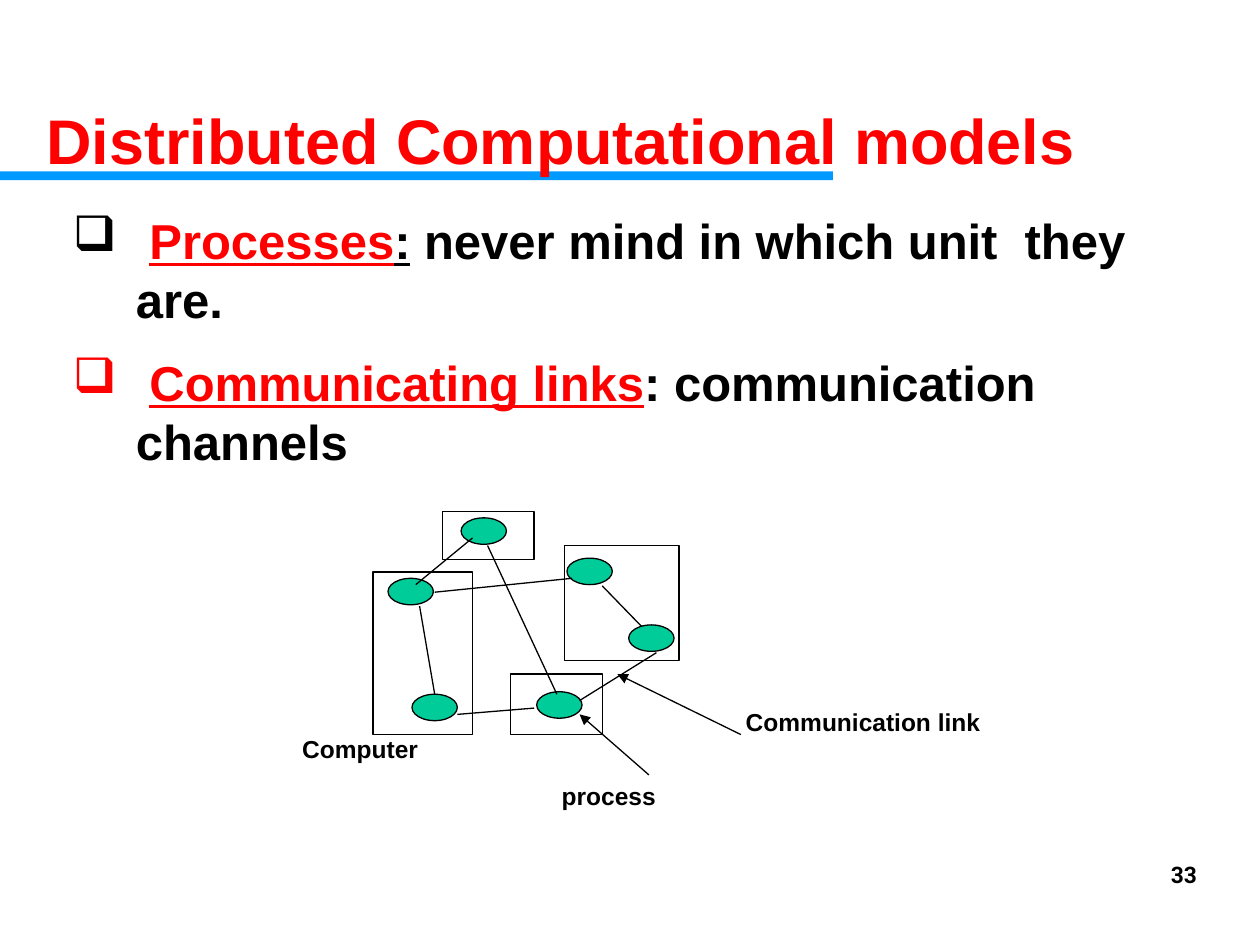
from lxml.etree import SubElement
from pptx import Presentation
from pptx.dml.color import RGBColor
from pptx.enum.shapes import MSO_CONNECTOR as Connector, MSO_SHAPE as Shape
from pptx.enum.text import MSO_AUTO_SIZE as AutoSize, PP_ALIGN as Align
from pptx.oxml.ns import qn
from pptx.util import Inches, Pt

BLACK, RED, BLUE, GREEN = "000000", "FF0000", "0099FF", "00CC99"
PROCESS_SIZE = (0.36, 0.21)

PROCESSES = [(3.66, 4.11), (3.08, 4.59), (3.27, 5.51),
             (4.5, 4.43), (4.99, 4.96), (4.26, 5.49)]
COMPUTERS = [(2.96, 4.54, 0.79, 1.29), (3.51, 4.06, 0.73, 0.38),
             (4.48, 4.33, 0.91, 0.91), (4.05, 5.35, 0.73, 0.48)]
LINKS = [((3.75, 4.27), (3.3, 4.64)), ((3.33, 4.81), (3.45, 5.51)),
         ((3.63, 5.67), (4.24, 5.62)), ((4.6, 5.56), (5.21, 5.18)),
         ((5.09, 4.97), (4.78, 4.65)), ((4.54, 4.59), (3.45, 4.7)),
         ((3.87, 4.33), (4.42, 5.51))]
POINTERS = [((5.15, 6.15), (4.6, 5.67)), ((5.88, 5.83), (4.9, 5.35))]
LABELS = [("Computer", (2.3, 5.78, 1.7, 0.33)),
          ("process", (4.36, 6.15, 1.4, 0.34)),
          ("Communication link", (5.82, 5.56, 3.16, 0.34))]
# Each point: bullet colour, then runs of (text, colour, underlined)
POINTS = [
    (BLACK, [(" ", BLACK, False), ("Processes", RED, True), (":", BLACK, True),
             (" never mind in which unit  they are.", BLACK, False)]),
    (RED, [(" ", RED, False), ("Communicating links", RED, True),
           (": communication channels", BLACK, False)]),
]


def rgb(color):
    return RGBColor.from_string(color)


def inches(values):
    return [Inches(value) for value in values]


def add_box(shapes, kind, box, fill=None, outlined=True):
    shape = shapes.add_shape(kind, *inches(box))
    shape.shadow.inherit = False
    if fill:
        shape.fill.solid()
        shape.fill.fore_color.rgb = rgb(fill)
    else:
        shape.fill.background()
    if outlined:
        shape.line.color.rgb = rgb(BLACK)
        shape.line.width = Pt(0.75)
    else:
        shape.line.fill.background()


def add_line(shapes, start, end, arrow=False):
    line = shapes.add_connector(Connector.STRAIGHT, *inches(start + end))
    line.line.color.rgb = rgb(BLACK)
    line.line.width = Pt(0.75)
    if arrow:
        SubElement(line.line._get_or_add_ln(), qn("a:tailEnd"), type="triangle")
    SubElement(line._element.spPr, qn("a:effectLst"))


def add_text_frame(shapes, box, auto_size=AutoSize.SHAPE_TO_FIT_TEXT):
    frame = shapes.add_textbox(*inches(box)).text_frame
    frame.word_wrap = True
    frame.auto_size = auto_size
    return frame


def add_run(paragraph, text, size, color, font="Arial", underline=False):
    run = paragraph.add_run()
    run.text = text
    run.font.name = font
    run.font.size = Pt(size)
    run.font.bold = True
    run.font.underline = underline
    run.font.color.rgb = rgb(color)


def set_bullet(paragraph, color):
    """Give the paragraph a hanging box bullet."""
    properties = paragraph._p.get_or_add_pPr()
    properties.set("marL", str(Inches(0.5)))
    properties.set("indent", str(Inches(-0.5)))
    bullet_color = SubElement(properties, qn("a:buClr"))
    SubElement(bullet_color, qn("a:srgbClr"), val=color)
    SubElement(properties, qn("a:buChar"), char="❑")


def add_points(shapes):
    frame = add_text_frame(shapes, (0.48, 1.62, 9.24, 2.22))
    for index, (bullet_color, runs) in enumerate(POINTS):
        paragraph = frame.add_paragraph() if index else frame.paragraphs[0]
        set_bullet(paragraph, bullet_color)
        if index:
            paragraph.space_before = Pt(14)
        for text, color, underline in runs:
            add_run(paragraph, text, 28, color, underline=underline)


def add_slide_number(shapes):
    frame = add_text_frame(shapes, (7.17, 6.83, 2.33, 0.52), AutoSize.NONE)
    frame.margin_left = frame.margin_right = 0
    frame.margin_top = frame.margin_bottom = 0
    paragraph = frame.paragraphs[0]
    paragraph.alignment = Align.RIGHT
    paragraph.line_spacing = 1.01
    add_run(paragraph, "33", 13, BLACK, "Roboto")


def add_network(shapes):
    for corner in PROCESSES:
        add_box(shapes, Shape.OVAL, corner + PROCESS_SIZE, GREEN)
    for start, end in LINKS:
        add_line(shapes, start, end)
    for box in COMPUTERS:
        add_box(shapes, Shape.RECTANGLE, box)
    for start, end in POINTERS:
        add_line(shapes, start, end, arrow=True)
    for text, box in LABELS:
        add_run(add_text_frame(shapes, box).paragraphs[0], text, 14, BLACK)


def main():
    deck = Presentation()
    deck.slide_width, deck.slide_height = inches((10, 7.5))
    shapes = deck.slides.add_slide(deck.slide_layouts[6]).shapes

    add_box(shapes, Shape.RECTANGLE, (0, 1.36, 6.61, 0.07), BLUE, outlined=False)
    add_slide_number(shapes)
    title = add_text_frame(shapes, (0.27, 0.76, 9.02, 0.71))
    add_run(title.paragraphs[0], "Distributed Computational models", 36, RED)
    add_points(shapes)
    add_network(shapes.add_group_shape().shapes)

    deck.save("out.pptx")


if __name__ == "__main__":
    main()
